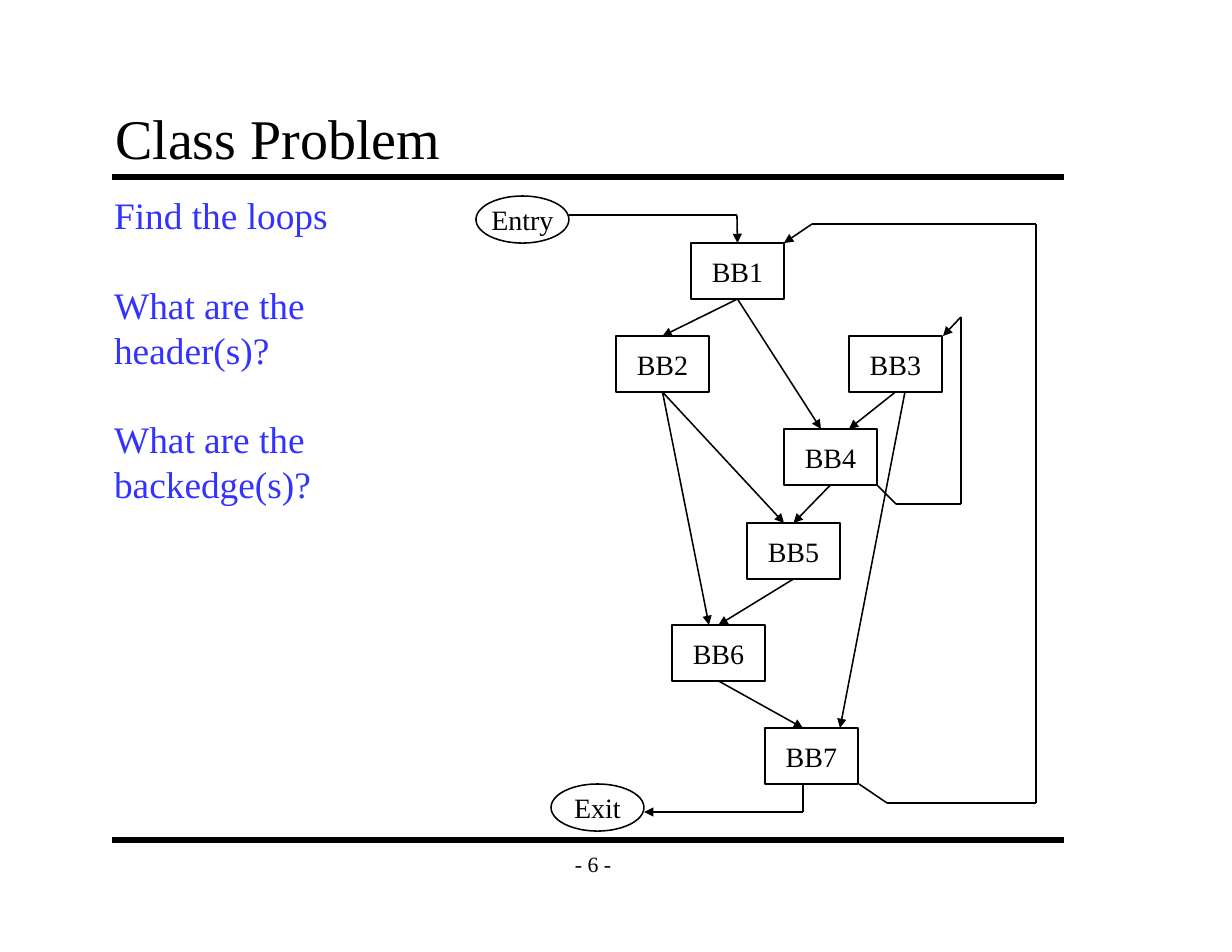
from itertools import pairwise

from lxml import etree
from pptx import Presentation
from pptx.dml.color import RGBColor
from pptx.enum import shapes, text
from pptx.oxml import ns
from pptx.util import Inches, Pt

FONT = "Times New Roman"
BLACK, BLUE = "000000", "3333FF"
BLOCK_SIZE, TERMINAL_SIZE = (0.83, 0.5), (0.83, 0.42)
TOP, BOTTOM = 0, 2

BLOCKS = {
    "BB1": (6.17, 2.17),
    "BB2": (5.5, 3),
    "BB3": (7.58, 3),
    "BB4": (7, 3.83),
    "BB5": (6.67, 4.67),
    "BB6": (6, 5.58),
    "BB7": (6.83, 6.5),
}
TERMINALS = {"Entry": (4.25, 1.75), "Exit": (4.92, 7)}

ROUTES = [
    [(5.08, 1.92), (6.58, 1.92), ("BB1", TOP)],
    [("BB1", BOTTOM), ("BB2", TOP)],
    [("BB1", BOTTOM), (7.33, 3.83)],
    [("BB2", BOTTOM), (7, 4.67)],
    [("BB2", BOTTOM), (6.33, 5.58)],
    [("BB3", BOTTOM), (7.58, 3.83)],
    [(8.08, 3.5), (7.5, 6.5)],
    [("BB4", BOTTOM), ("BB5", TOP)],
    [("BB5", BOTTOM), ("BB6", TOP)],
    [("BB6", BOTTOM), (7.17, 6.5)],
    [(7.83, 4.33), (8, 4.5), (8.58, 4.5), (8.58, 2.83), (8.42, 3)],
    [(7.67, 7), (7.92, 7.17), (9.25, 7.17), (9.25, 2), (7.25, 2), (7, 2.17)],
    [(7.17, 7), (7.17, 7.25), (5.75, 7.25)],
]
RULES = [1.58, 7.5]
QUESTIONS = [
    ["Find the loops"],
    ["What are the", "header(s)?"],
    ["What are the", "backedge(s)?"],
]


def color(value):
    return RGBColor.from_string(value)


def add_text(para, words, size, ink=BLACK, align=text.PP_ALIGN.LEFT):
    para.alignment = align
    span = para.add_run()
    span.text = words
    span.font.name = FONT
    span.font.size = Pt(size)
    span.font.color.rgb = color(ink)


def add_box(page, left, top, width, height, anchor, wrap, inset=(0.1, 0.05)):
    box = page.shapes.add_textbox(*map(Inches, (left, top, width, height)))
    frame = box.text_frame
    frame.word_wrap = wrap
    frame.vertical_anchor = anchor
    frame.margin_left = frame.margin_right = Inches(inset[0])
    frame.margin_top = frame.margin_bottom = Inches(inset[1])
    return frame


def add_node(page, kind, label, corner, size):
    node = page.shapes.add_shape(kind, *map(Inches, corner + size))
    node.shadow.inherit = False
    node.fill.background()
    node.line.color.rgb = color(BLACK)
    node.line.width = Pt(1)
    frame = node.text_frame
    frame.word_wrap = False
    frame.vertical_anchor = text.MSO_ANCHOR.MIDDLE
    add_text(frame.paragraphs[0], label, 18, align=text.PP_ALIGN.CENTER)
    return node


def add_line(page, start, end, nodes, width=1, arrow=False):
    joins = [point if point[0] in nodes else None for point in (start, end)]
    spots = [(0, 0) if join else point for join, point in zip(joins, (start, end))]
    line = page.shapes.add_connector(
        shapes.MSO_CONNECTOR.STRAIGHT, *map(Inches, spots[0] + spots[1])
    )
    for join, connect in zip(joins, (line.begin_connect, line.end_connect)):
        if join:
            connect(nodes[join[0]], join[1])
    line.line.color.rgb = color(BLACK)
    line.line.width = Pt(width)
    if arrow:
        outline = line.line._get_or_add_ln()
        etree.SubElement(outline, ns.qn("a:tailEnd"), type="triangle")
    etree.SubElement(line._element.spPr, ns.qn("a:effectLst"))


def main():
    deck = Presentation()
    deck.slide_width, deck.slide_height = Inches(11), Inches(8.5)
    page = deck.slides.add_slide(deck.slide_layouts[6])

    for height in RULES:
        add_line(page, (1, height), (9.5, height), {}, width=4)

    inset = (0.11, 0.06)
    number = add_box(page, 4.92, 7.5, 0.75, 0.42, text.MSO_ANCHOR.MIDDLE, False, inset)
    add_text(number.paragraphs[0], "- 6 -", 14, align=text.PP_ALIGN.CENTER)
    title = add_box(page, 0.92, 0.91, 8.5, 0.67, text.MSO_ANCHOR.BOTTOM, True, inset)
    add_text(title.paragraphs[0], "Class Problem", 36)

    nodes = {}
    for kind, size, group in (
        (shapes.MSO_SHAPE.RECTANGLE, BLOCK_SIZE, BLOCKS),
        (shapes.MSO_SHAPE.OVAL, TERMINAL_SIZE, TERMINALS),
    ):
        for label, corner in group.items():
            nodes[label] = add_node(page, kind, label, corner, size)

    for route in ROUTES:
        for start, end in pairwise(route):
            add_line(page, start, end, nodes, arrow=end is route[-1])

    questions = add_box(page, 0.92, 1.67, 2.11, 2.9, text.MSO_ANCHOR.TOP, False)
    pitch = Pt(28.8)
    for index, question in enumerate(QUESTIONS):
        for row, words in enumerate(question):
            first = index == row == 0
            para = questions.paragraphs[0] if first else questions.add_paragraph()
            para.line_spacing = pitch
            para.space_before = pitch if index and row == 0 else Pt(0)
            add_text(para, words, 24, BLUE)

    deck.save("out.pptx")


if __name__ == "__main__":
    main()
